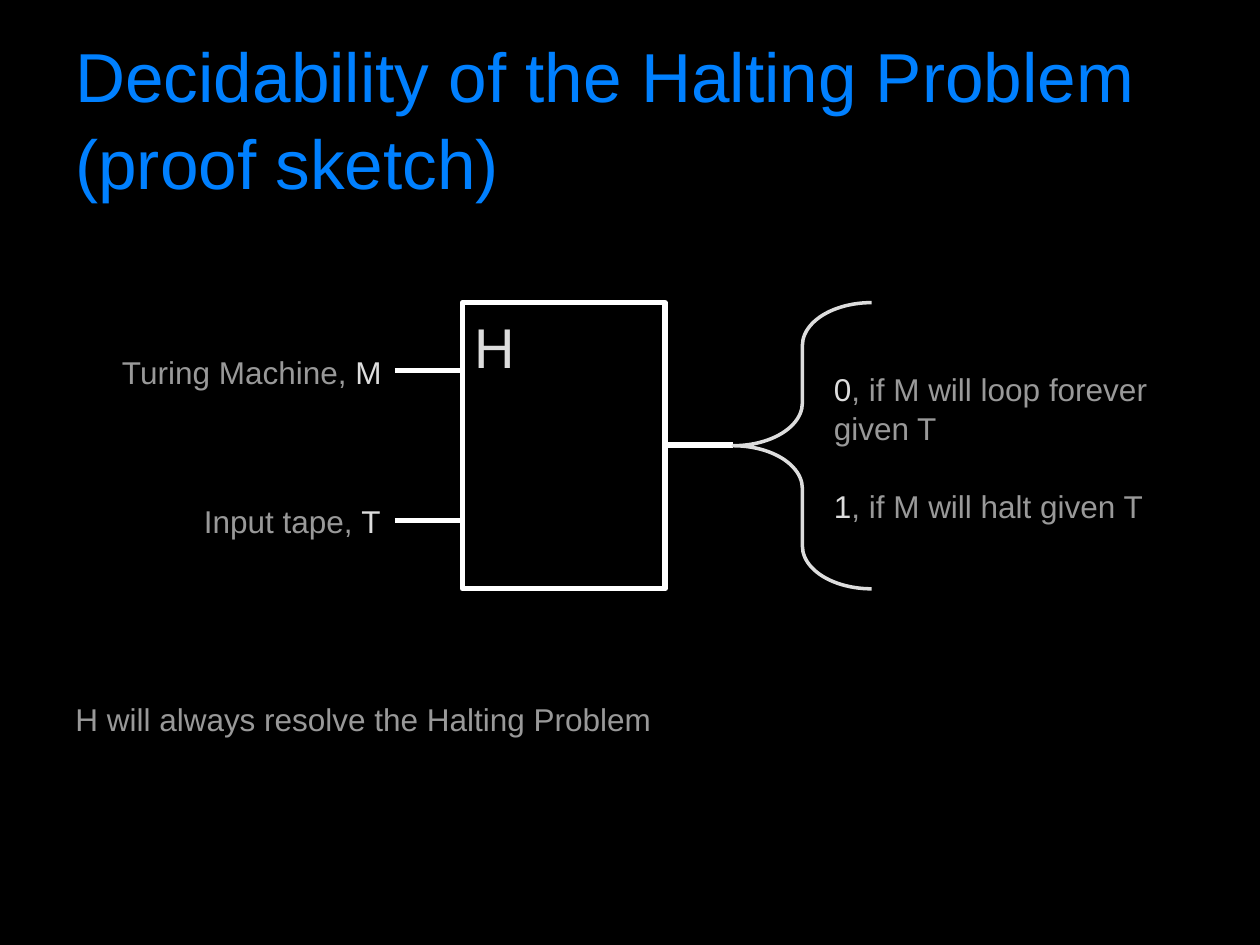
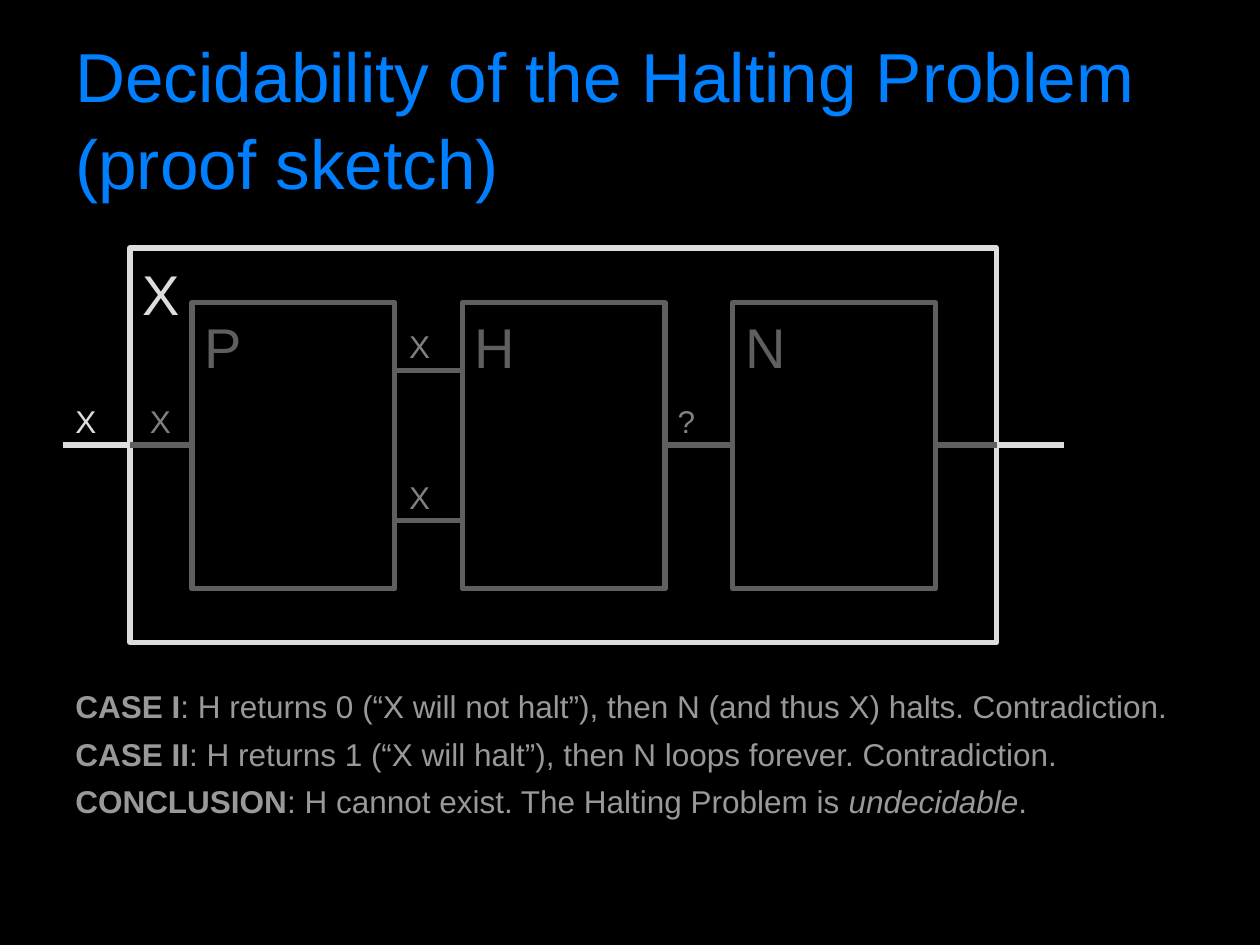
from lxml import etree
from pptx import Presentation
from pptx.dml.color import RGBColor
from pptx.enum import shapes, text
from pptx.oxml.ns import qn
from pptx.util import Cm, Pt

hues = {"back": "000000", "title": "0080FF", "white": "FFFFFF", "light": "DDDDDD",
        "text": "999999", "mark": "808080", "dim": "5F5F5F"}
TITLE = "Decidability of the Halting Problem (proof sketch)"

# Grid of the three machines P, H, N, in centimetres
wide, high, top, step = 4.09, 5.77, 6.1, 5.45
left = [3.87 + step * i for i in range(3)]
right = [x + wide for x in left]
high_y, mid_y, low_y = 7.47, 8.97, 10.49
frame = (2.62, 5, 17.47, 7.95)
edge = frame[0] + frame[2]


def write(slide, x, y, w, h, runs, size=18, wrap=False):
    """Add a text box; each run is (text, hue) or (text, hue, style letters b and i)."""
    frame = slide.shapes.add_textbox(Cm(x), Cm(y), Cm(w), Cm(h)).text_frame
    frame.word_wrap = wrap
    para = frame.paragraphs[0]
    para.line_spacing = 1.05
    para.font.name = "Arial"
    para.font.size = Pt(size)
    for words, hue, *style in runs:
        run = para.add_run()
        run.text = words
        run.font.color.rgb = RGBColor.from_string(hues[hue])
        if style:
            run.font.bold = "b" in style[0]
            run.font.italic = "i" in style[0]
    return frame


def draw(slide, kind, x, y, w, h, hue, width=3):
    """Add an unfilled outline shape."""
    shape = slide.shapes.add_shape(kind, Cm(x), Cm(y), Cm(w), Cm(h))
    shape.shadow.inherit = False
    shape.fill.background()
    shape.line.color.rgb = RGBColor.from_string(hues[hue])
    shape.line.width = Pt(width)
    return shape


deck = Presentation()
deck.slide_width, deck.slide_height = Cm(25.4), Cm(19.05)
slides = [deck.slides.add_slide(deck.slide_layouts[6]) for _ in range(2)]
first, proof = slides
for slide in slides:
    slide.background.fill.solid()
    slide.background.fill.fore_color.rgb = RGBColor.from_string(hues["back"])
    title = write(slide, 1.27, 0.76, 22.86, 3.18, [(TITLE, "title")], 39.6, True)
    title.vertical_anchor = text.MSO_ANCHOR.MIDDLE

# Outer machine X, then the inner machines with their names
rect = shapes.MSO_SHAPE.RECTANGLE
draw(proof, rect, *frame, "light")
write(proof, frame[0], 5.05, 1.35, 1.42, [("X", "light")], 32, True)
for slide, name, x, line, ink in [
        (first, "H", left[1], "white", "light"),
        *[(proof, name, x, "dim", "dim") for name, x in zip("PHN", left)]]:
    draw(slide, rect, x, top, wide, high, line)
    write(slide, x, top, 1.35, 1.42, [(name, ink)], 32, True)

# Wires: inputs and output of H on both slides, the rest of X on the second
wires = [(proof, frame[0], left[0], mid_y, "dim"),
         (proof, right[2], edge, mid_y, "dim"),
         (proof, 1.27, frame[0], mid_y, "light"),
         (proof, edge, 21.44, mid_y, "light")]
for slide, hue in [(first, "white"), (proof, "dim")]:
    wires += [(slide, right[0], left[1], high_y, hue),
              (slide, right[0], left[1], low_y, hue),
              (slide, right[1], left[2], mid_y, hue)]
for slide, start, end, y, hue in wires:
    wire = slide.shapes.add_connector(shapes.MSO_CONNECTOR.STRAIGHT,
                                      Cm(start), Cm(y), Cm(end), Cm(y))
    wire.line.color.rgb = RGBColor.from_string(hues[hue])
    wire.line.width = Pt(3)
    etree.SubElement(wire._element.spPr, qn("a:effectLst"))

# First slide: inputs, outcomes and claim
brace = draw(first, shapes.MSO_SHAPE.RIGHT_BRACE, 14.78, top, 2.79, high, "light", 2)
brace.rotation = 180
brace.adjustments[0], brace.adjustments[1] = 0.31, 0.5
write(first, 2.21, 6.96, 5.74, 1.02, [("Turing Machine, ", "text"), ("M", "light")])
write(first, 3.86, 9.96, 4.11, 1.02, [("Input tape, ", "text"), ("T", "light")])
for y, h, bit, fate in [(7.29, 1.8, "0", "loop forever"), (9.65, 1.02, "1", "halt")]:
    write(first, 16.56, y, 6.83, h,
          [(bit, "light"), (f", if M will {fate} given T", "text")], wrap=True)
write(first, 1.27, 13.94, 12.24, 1.02, [("H will always resolve the Halting Problem", "text")])

# Second slide: wire marks and the argument
for x, y, mark, hue in [(1.27, 7.95, "X", "light"), (2.77, 7.95, "X", "mark"),
                        (8, 6.43, "X", "mark"), (8, 9.47, "X", "mark"),
                        (13.41, 7.95, "?", "mark")]:
    write(proof, x, y, 0.94, 1.02, [(mark, hue)])
cases = [
    (22.56, [("CASE I", "text", "b"),
             (": H returns 0 (“X will not halt”), then N (and thus X) halts. Contradiction.", "text")]),
    (21.08, [("CASE II", "text", "b"),
             (": H returns 1 (“X will halt”), then N loops forever. Contradiction.", "text")]),
    (19.91, [("CONCLUSION", "text", "b"),
             (": H cannot exist. The Halting Problem is ", "text"),
             ("undecidable", "text", "i"), (".", "text")])]
for i, (w, runs) in enumerate(cases):
    write(proof, 1.27, 13.69 + 0.96 * i, w, 1.02, runs)

deck.save("out.pptx")
